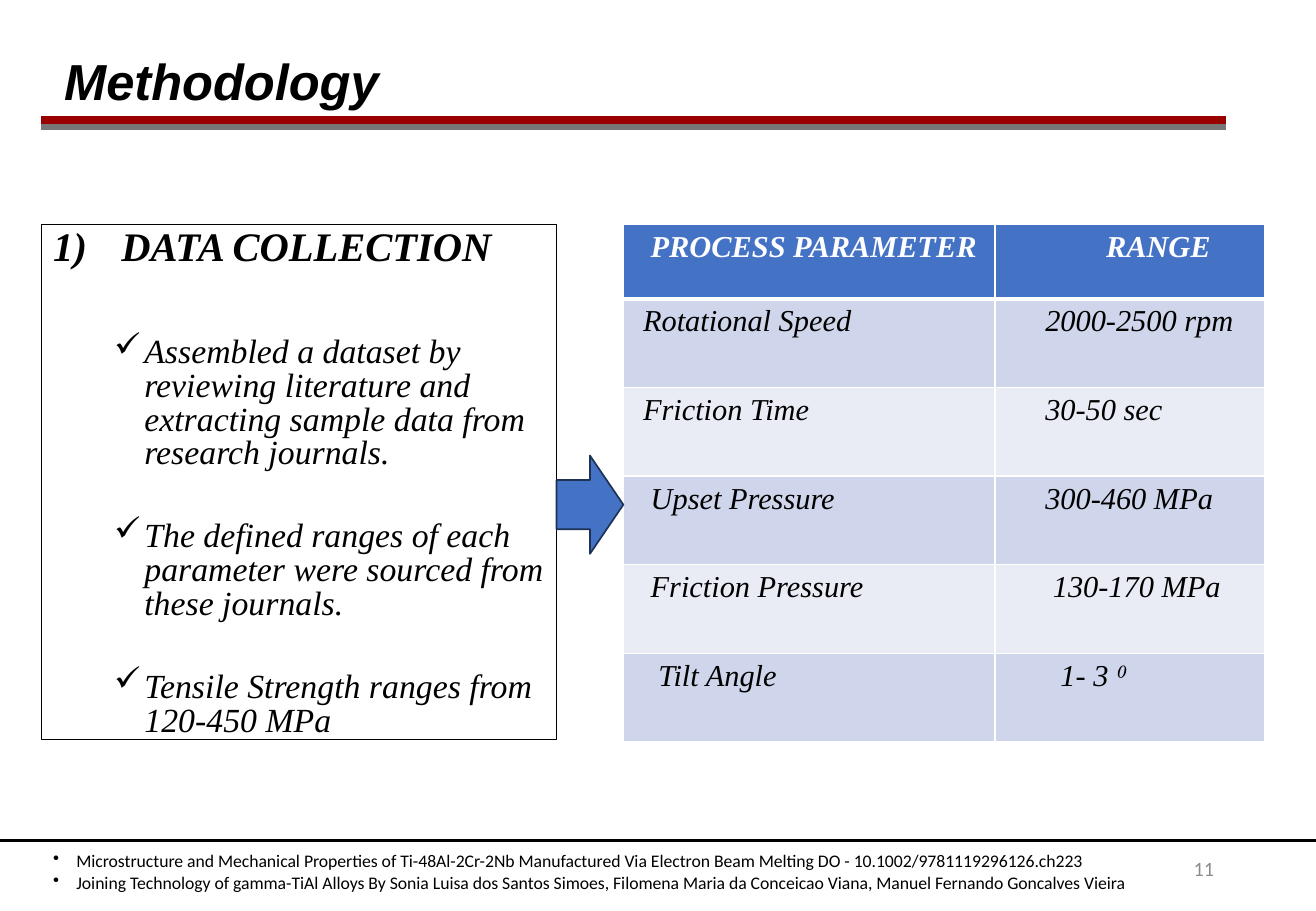
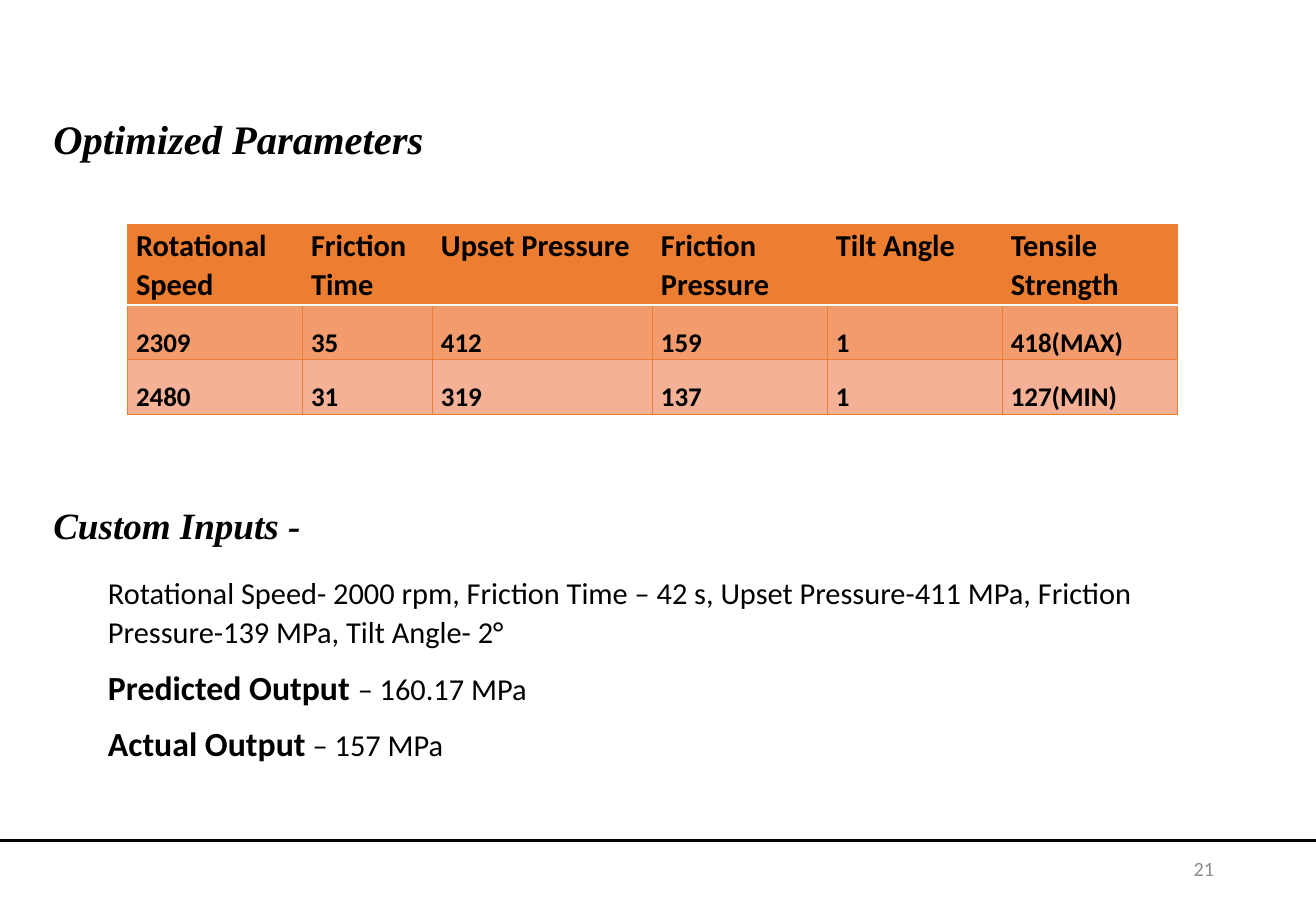
import pptx
import pptx.util
import pptx.dml.color
import pptx.enum.shapes
import pptx.enum.text
import pptx.oxml
import pptx.oxml.ns
from lxml import etree

Inches = pptx.util.Inches
Pt = pptx.util.Pt
rgb = pptx.dml.color.RGBColor.from_string
qn = pptx.oxml.ns.qn
ANCHOR = pptx.enum.text.MSO_ANCHOR
RIGHT = pptx.enum.text.PP_ALIGN.RIGHT

BLACK, WHITE, BLUE, ORANGE = "000000", "FFFFFF", "4472C4", "ED7D31"
SERIF, SANS = "Times New Roman", "Calibri"
HEADING = dict(font=SERIF, bold=True, italic=True)
SERIF_BODY = dict(font=SERIF, italic=True)


def write(paragraph, text, size, font=SANS, color=BLACK, bold=False, italic=False,
          lead="", lead_size=20, align=None, spacing=None, before=0, after=0,
          bullet=None, indent=(0, 0)):
    """Fill a paragraph; lead is a bold opening, indent is (left, first line) in inches."""
    paragraph.alignment = align
    paragraph.line_spacing = spacing
    paragraph.space_before, paragraph.space_after = Pt(before), Pt(after)
    for part, part_size, part_bold in ((lead, lead_size, True), (text, size, bold)):
        if part:
            run = paragraph.add_run()
            run.text = part
            run.font.size, run.font.name = Pt(part_size), font
            run.font.bold, run.font.italic = part_bold, italic
            run.font.color.rgb = rgb(color)
    if bullet:
        properties = paragraph._p.get_or_add_pPr()
        properties.set("marL", str(Inches(indent[0])))
        properties.set("indent", str(Inches(indent[1])))
        if bullet == "1)":
            etree.SubElement(properties, qn("a:buAutoNum"), type="arabicParenR")
        else:
            etree.SubElement(properties, qn("a:buChar"), char=bullet)


def add_grid(slide, left, top, widths, heights, fills, border, header_rule):
    """Add a table with one fill per row; border is (colour, points), header_rule points."""
    table = slide.shapes.add_table(len(heights), len(widths), Inches(left), Inches(top),
                                   Inches(sum(widths)), Inches(sum(heights))).table
    for column, width in zip(table.columns, widths):
        column.width = Inches(width)
    for r, (row, height) in enumerate(zip(table.rows, heights)):
        row.height = Inches(height)
        for cell in row.cells:
            cell.fill.solid()
            cell.fill.fore_color.rgb = rgb(fills[r])
            properties = cell._tc.get_or_add_tcPr()
            for position, side in enumerate("LRTB"):
                under_header = (r, side) in ((0, "B"), (1, "T"))
                color, points = (WHITE, header_rule) if under_header else border
                properties.insert(position, pptx.oxml.parse_xml(
                    f'<a:ln{side} xmlns:a="http://schemas.openxmlformats.org/drawingml/2006/main" '
                    f'w="{Pt(points)}"><a:solidFill><a:srgbClr val="{color}"/></a:solidFill>'
                    f'</a:ln{side}>'))
    return table


deck = pptx.Presentation()
deck.slide_width, deck.slide_height = Inches(10.83), Inches(7.5)
methodology, results = [deck.slides.add_slide(deck.slide_layouts[6]) for _ in range(2)]

# Rules: slide, left, right, y, colour, points
rules = [
    (methodology, 0, 10.83, 6.92, BLACK, 1.25),
    (results, 0, 10.83, 6.92, BLACK, 1.25),
    (methodology, 0.34, 10.09, 1.04, "777777", 4.5),
    (methodology, 0.34, 10.09, 0.99, "990000", 4.5),
]
for slide, left, right, y, color, points in rules:
    rule = slide.shapes.add_connector(pptx.enum.shapes.MSO_CONNECTOR.STRAIGHT,
                                      Inches(left), Inches(y), Inches(right), Inches(y))
    rule.line.color.rgb = rgb(color)
    rule.line.width = Pt(points)
    etree.SubElement(rule._element.spPr, qn("a:effectLst"))

# Text: slide, (left, top, width, height), anchor, outlined, paragraphs
check = dict(size=20, spacing=0.83, bullet="✓", indent=(0.75, -0.25), **SERIF_BODY)
reference = dict(size=10.5, bullet="•", indent=(0.19, -0.19))
output = dict(size=18, spacing=1.07, after=8)
number = dict(size=12, color="8C8C8C", align=RIGHT)
number_place = (7.65, 6.95, 2.44, 0.4)
texts = [
    (methodology, number_place, ANCHOR.MIDDLE, False, [dict(text="11", **number)]),
    (results, number_place, ANCHOR.MIDDLE, False, [dict(text="21", **number)]),
    (methodology, (0.43, 0.14, 9.34, 1.1), ANCHOR.MIDDLE, False, [
        dict(text="Methodology", size=30, font="Arial", bold=True, italic=True, spacing=0.9)]),
    (methodology, (0.34, 1.85, 4.24, 4.24), ANCHOR.TOP, True, [
        dict(text="DATA COLLECTION", size=24, spacing=0.8, bullet="1)",
             indent=(0.56, -0.56), **HEADING),
        dict(text="Assembled a dataset by reviewing literature and extracting sample "
                  "data from research journals.", before=40, **check),
        dict(text="The defined ranges of each parameter were sourced from these journals.",
             before=29.4, **check),
        dict(text="Tensile Strength ranges from 120-450 MPa", before=29.4, **check)]),
    (methodology, (0.34, 6.95, 9.34, 0.45), ANCHOR.TOP, False, [
        dict(text="Microstructure and Mechanical Properties of Ti-48Al-2Cr-2Nb Manufactured "
                  "Via Electron Beam Melting DO - 10.1002/9781119296126.ch223", **reference),
        dict(text="Joining Technology of gamma-TiAl Alloys By Sonia Luisa dos Santos Simoes, "
                  "Filomena Maria da Conceicao Viana, Manuel Fernando Goncalves Vieira",
             **reference)]),
    (results, (0.34, 0.89, 7.02, 0.5), ANCHOR.TOP, False, [
        dict(text="Optimized Parameters", size=24, **HEADING)]),
    (results, (0.34, 4.09, 5.42, 0.47), ANCHOR.TOP, False, [
        dict(text="Custom Inputs -", size=22, **HEADING)]),
    (results, (0.79, 4.66, 9.17, 1.68), ANCHOR.TOP, False, [
        dict(text="Rotational Speed- 2000 rpm, Friction Time – 42 s, Upset Pressure-411 MPa, "
                  "Friction Pressure-139 MPa, Tilt Angle- 2°", **output),
        dict(lead="Predicted Output ", text="– 160.17 MPa", **output),
        dict(lead="Actual Output", text=" – 157 MPa", **output)]),
]
for slide, place, anchor, outlined, paragraphs in texts:
    box = slide.shapes.add_textbox(*map(Inches, place))
    frame = box.text_frame
    frame.word_wrap = True
    frame.vertical_anchor = anchor
    if outlined:
        box.line.color.rgb = rgb(BLACK)
        box.line.width = Pt(0.75)
    for i, options in enumerate(paragraphs):
        write(frame.add_paragraph() if i else frame.paragraphs[0], **options)

# Process parameters: each text with its indent in steps of 1/16 inch
parameters = [
    (("PROCESS PARAMETER", 2), ("RANGE", 13)),
    (("Rotational Speed", 1), ("2000-2500 rpm", 5)),
    (("Friction Time", 1), ("30-50 sec", 5)),
    (("Upset Pressure", 2), ("300-460 MPa", 5)),
    (("Friction Pressure", 2), ("130-170 MPa", 6)),
    (("Tilt Angle", 3), ("1- 3 ⁰", 7)),
]
fills = [BLUE] + ["CFD5EA", "E9EBF5"] * 2 + ["CFD5EA"]
table = add_grid(methodology, 5.13, 1.85, [3.06, 2.22], [0.61] + [0.73] * 5, fills,
                 (WHITE, 1), 3)
for r, entries in enumerate(parameters):
    for c, (text, steps) in enumerate(entries):
        cell = table.cell(r, c)
        cell.margin_left = Inches(0.1 + steps / 16)
        cell.margin_right = 0
        style = dict(color=WHITE, **HEADING) if r == 0 else SERIF_BODY
        write(cell.text_frame.paragraphs[0], text, 18, **style)

arrow = methodology.shapes.add_shape(pptx.enum.shapes.MSO_SHAPE.RIGHT_ARROW, Inches(4.58),
                                     Inches(3.75), Inches(0.55), Inches(0.81))
arrow.shadow.inherit = False
arrow.fill.solid()
arrow.fill.fore_color.rgb = rgb(BLUE)
arrow.line.color.rgb = rgb("1E3256")
arrow.line.width = Pt(1)

optimized = [
    ("Rotational Speed", "Friction Time", "Upset Pressure", "Friction Pressure",
     "Tilt Angle", "Tensile Strength"),
    ("2309", "35", "412", "159", "1", "418(MAX)"),
    ("2480", "31", "319", "137", "1", "127(MIN)"),
]
table = add_grid(results, 1.05, 1.85, [1.44, 1.07, 1.81, 1.44, 1.44, 1.44],
                 [0.66, 0.45, 0.45], [ORANGE, "F29C6D", "F5B195"], (ORANGE, 0.5), 1)
for r, entries in enumerate(optimized):
    for c, text in enumerate(entries):
        cell = table.cell(r, c)
        cell.margin_left = cell.margin_right = Inches(0.07)
        cell.margin_top = cell.margin_bottom = 0
        cell.vertical_anchor = ANCHOR.BOTTOM if r else ANCHOR.TOP
        write(cell.text_frame.paragraphs[0], text, 16 if r else 18, bold=True,
              spacing=1.07, after=8)

deck.save("out.pptx")
